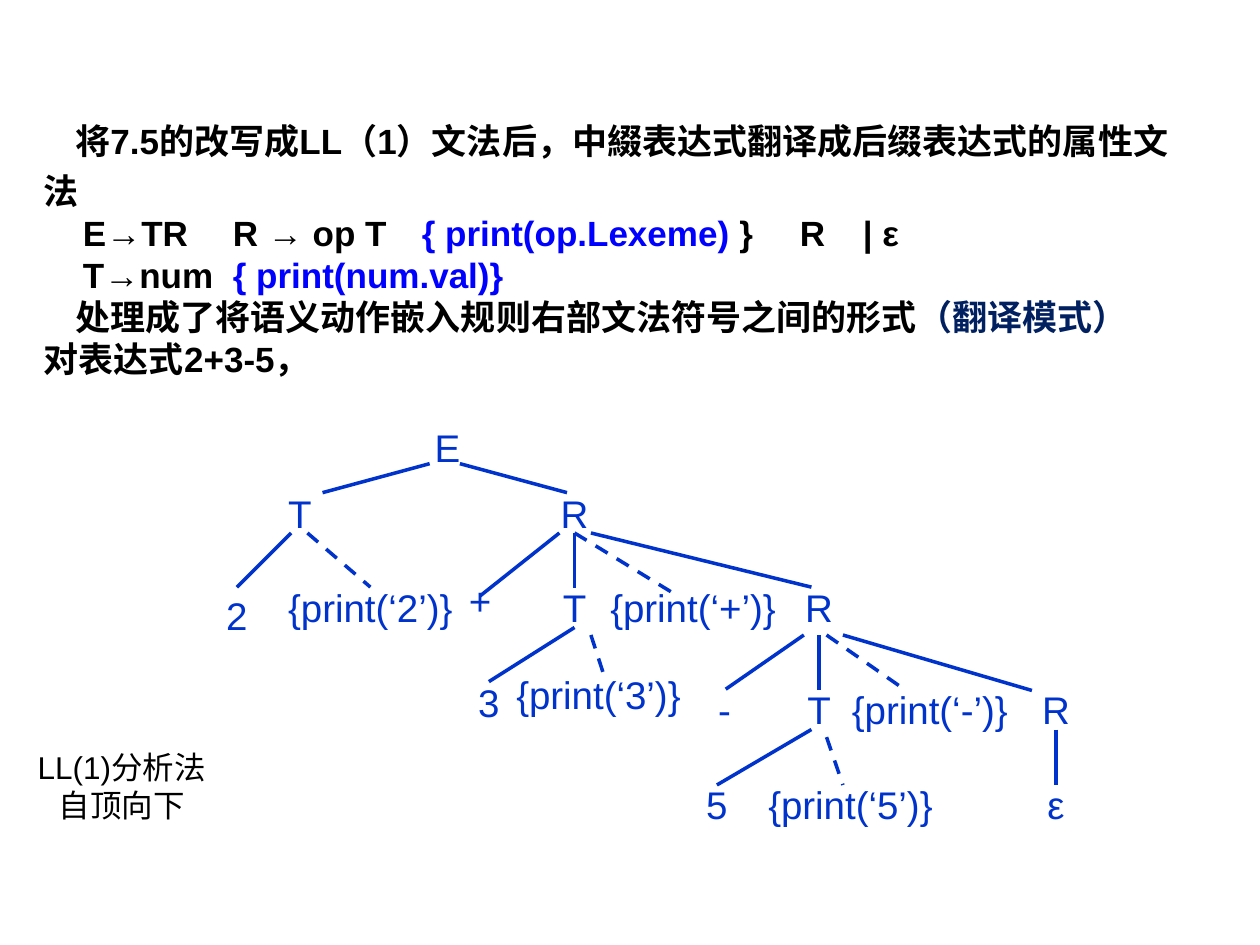
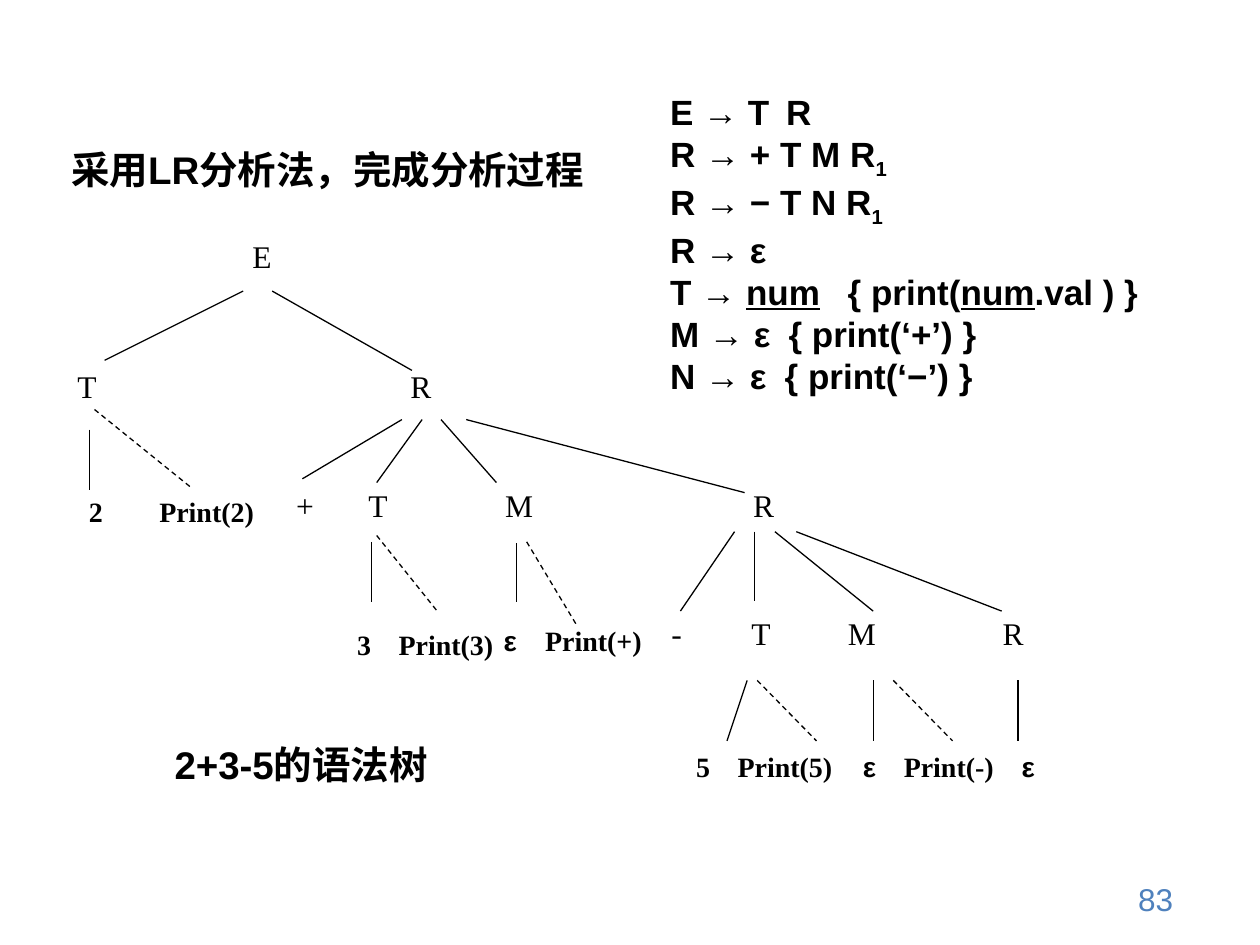
from dataclasses import dataclass

from lxml import etree
from pptx import Presentation
from pptx import util as u
from pptx.dml.color import RGBColor
from pptx.enum import dml, shapes, text
from pptx.oxml import ns


@dataclass(frozen=True)
class Theme:
    black: str = "000000"
    action: str = "0000FF"
    mode: str = "002060"
    tree: str = "0033CC"
    number: str = "4F81BD"
    sans: str = "Arial"
    serif: str = "Times New Roman"
    heading: int = 22
    body: int = 20
    note: int = 18
    leaf: int = 16


T = Theme()
LEFT, CENTER, RIGHT = text.PP_ALIGN.LEFT, text.PP_ALIGN.CENTER, text.PP_ALIGN.RIGHT
TOP, MIDDLE = text.MSO_ANCHOR.TOP, text.MSO_ANCHOR.MIDDLE

# Text styles
BODY = {"size": T.body, "color": T.black, "name": T.sans, "bold": True}
HEADING = BODY | {"size": T.heading}
NOTE = BODY | {"size": T.note, "bold": False}
NUMBER = NOTE | {"color": T.number}
TREE = {"size": T.heading, "color": T.tree, "name": T.sans}
SYMBOL = {"size": T.note, "color": T.black, "name": T.serif}
LEAF = SYMBOL | {"size": T.leaf, "bold": True}
EPSILON = LEAF | {"name": T.sans}
ACTION, MODE = {"color": T.action}, {"color": T.mode}
SUB, UNDER = {"baseline": -25000}, {"underline": True}

# Paragraphs: runs (plain or with a style change), then indent, tab stops, spacing
TRANSLATION = [
    {"runs": ["将7.5的改写成LL（1）文法后，中綴表达式翻译成后缀表达式的属性文法"],
     "indent": 0.25, "line_spacing": 1.2},
    {"runs": ["E→TR\tR → op T\t", ("{ print(op.Lexeme) ", ACTION), "}\tR\t| ε"],
     "indent": 0.31, "tabs": [1.66, 3.13, 5.9, 6.26]},
    {"runs": ["T→num\t", ("{ print(num.val)}", ACTION)],
     "indent": 0.31, "tabs": [1.57]},
    {"runs": ["处理成了将语义动作嵌入规则右部文法符号之间的形式", ("（翻译模式）", MODE)],
     "indent": 0.25},
    {"runs": ["对表达式2+3-5，"]},
]
METHOD = [{"runs": ["LL(1)分析法"]}, {"runs": ["自顶向下"]}]
GRAMMAR = [
    {"runs": ["E → T\tR"], "tabs": [0.92]},
    {"runs": ["R → + T M R", ("1", SUB)]},
    {"runs": ["R → − T N R", ("1", SUB)]},
    {"runs": ["R → ε"]},
    {"runs": ["T → ", ("num", UNDER), "\t{ print(", ("num", UNDER), ".val ) }"],
     "tabs": [1.41]},
    {"runs": ["M → ε\t{ print(‘+’) }"], "tabs": [0.94]},
    {"runs": ["N → ε\t{ print(‘−’) }"], "tabs": [0.91]},
]
LR_TITLE = [{"runs": ["采用LR分析法，完成分析过程"]}]
TREE_CAPTION = [{"runs": ["2+3-5的语法树"]}]
PAGE = [{"runs": ["83"]}]

# Tree nodes: label, centre x, centre y, branch from the parent (x1, y1, x2, y2)
LL_TREE = [
    ("E", 3.55, 3.55, None),
    ("T", 2.38, 4.07, (3.41, 3.68, 2.56, 3.91)),
    ("R", 4.56, 4.07, (3.65, 3.68, 4.5, 3.91)),
    ("2", 1.88, 4.88, (2.31, 4.23, 1.88, 4.66)),
    ("{print(‘2’)}", 2.94, 4.82, (2.44, 4.23, 2.94, 4.66)),
    ("+", 3.81, 4.76, (4.44, 4.23, 3.81, 4.73)),
    ("T", 4.56, 4.82, (4.56, 4.23, 4.56, 4.67)),
    ("{print(‘+’)}", 5.5, 4.82, (4.56, 4.23, 5.38, 4.73)),
    ("R", 6.5, 4.82, (4.69, 4.23, 6.44, 4.66)),
    ("3", 3.88, 5.57, (4.56, 4.98, 3.88, 5.41)),
    ("{print(‘3’)}", 4.75, 5.51, (4.69, 5.04, 4.81, 5.41)),
    ("-", 5.75, 5.63, (6.38, 5.04, 5.76, 5.47)),
    ("T", 6.5, 5.63, (6.5, 5.04, 6.5, 5.48)),
    ("{print(‘-’)}", 7.38, 5.63, (6.56, 5.04, 7.19, 5.48)),
    ("R", 8.38, 5.63, (6.69, 5.04, 8.19, 5.48)),
    ("5", 5.69, 6.38, (6.44, 5.79, 5.69, 6.23)),
    ("{print(‘5’)}", 6.75, 6.38, (6.56, 5.85, 6.69, 6.23)),
    ("ε", 8.38, 6.38, (8.38, 5.79, 8.38, 6.23)),
]
LR_TREE = [
    ("E", 2.08, 2.03, None),
    ("T", 0.69, 3.06, (1.93, 2.31, 0.83, 2.86)),
    ("R", 3.34, 3.06, (2.16, 2.31, 3.27, 2.94)),
    ("2", 0.76, 4.06, (0.71, 3.41, 0.71, 3.89)),
    ("Print(2)", 1.64, 4.06, (0.75, 3.25, 1.53, 3.88)),
    ("+", 2.42, 4.01, (3.19, 3.33, 2.4, 3.8)),
    ("T", 3, 4.01, (3.35, 3.33, 2.99, 3.83)),
    ("M", 4.12, 4.01, (3.5, 3.33, 3.94, 3.83)),
    ("R", 6.06, 4.01, (3.7, 3.33, 5.91, 3.91)),
    ("3", 2.89, 5.11, (2.95, 4.3, 2.95, 4.78)),
    ("Print(3)", 3.54, 5.11, (2.99, 4.25, 3.47, 4.85)),
    ("ε", 4.05, 5.08, (4.1, 4.31, 4.1, 4.78)),
    ("Print(+)", 4.71, 5.08, (4.18, 4.3, 4.57, 4.95)),
    ("-", 5.37, 5.02, (5.83, 4.22, 5.4, 4.85)),
    ("T", 6.04, 5.02, (5.99, 4.22, 5.99, 4.77)),
    ("M", 6.84, 5.02, (6.15, 4.22, 6.93, 4.85)),
    ("R", 8.04, 5.02, (6.32, 4.22, 7.95, 4.85)),
    ("5", 5.58, 6.08, (5.93, 5.4, 5.77, 5.88)),
    ("Print(5)", 6.23, 6.08, (6.01, 5.4, 6.48, 5.88)),
    ("ε", 6.9, 6.08, (6.93, 5.4, 6.93, 5.88)),
    ("Print(-)", 7.53, 6.08, (7.09, 5.4, 7.56, 5.88)),
    ("ε", 8.16, 6.08, (8.08, 5.4, 8.08, 5.88)),
]
NODE_W, NODE_H = 0.75, 0.44


def style_run(run, style):
    for key, value in style.items():
        if key == "color":
            run.font.color.rgb = RGBColor.from_string(value)
        elif key == "baseline":
            run._r.get_or_add_rPr().set("baseline", str(value))
        else:
            setattr(run.font, key, u.Pt(value) if key == "size" else value)


def fill_text(box, area, paragraphs, style, align=LEFT, anchor=TOP, wrap=True):
    """Place a text holder and write its paragraphs."""
    for side, length in zip(("left", "top", "width", "height"), area):
        setattr(box, side, u.Inches(length))
    frame = box.text_frame
    settings = {"word_wrap": wrap, "vertical_anchor": anchor,
                "auto_size": text.MSO_AUTO_SIZE.NONE}
    for key, value in settings.items():
        setattr(frame, key, value)
    for i, content in enumerate(paragraphs):
        para = frame.add_paragraph() if i else frame.paragraphs[0]
        para.alignment = align
        para.line_spacing = content.get("line_spacing")
        props = para._p.get_or_add_pPr()
        if "indent" in content:
            props.set("marL", "0")
            props.set("indent", str(u.Inches(content["indent"])))
        if "tabs" in content:
            stops = etree.SubElement(props, ns.qn("a:tabLst"))
            for stop in content["tabs"]:
                etree.SubElement(stops, ns.qn("a:tab"),
                                 pos=str(u.Inches(stop)), algn="l")
        for part in content["runs"]:
            words, change = (part, {}) if isinstance(part, str) else part
            run = para.add_run()
            run.text = words
            style_run(run, style | change)


def add_text(slide, area, paragraphs, style, **layout):
    box = slide.shapes.add_textbox(0, 0, 0, 0)
    fill_text(box, area, paragraphs, style, **layout)


def add_branch(slide, ends, color, weight, dashed):
    branch = slide.shapes.add_connector(
        shapes.MSO_CONNECTOR.STRAIGHT, *map(u.Inches, ends))
    branch.line.color.rgb = RGBColor.from_string(color)
    branch.line.width = u.Pt(weight)
    if dashed:
        branch.line.dash_style = dml.MSO_LINE.DASH
    etree.SubElement(branch._element.spPr, ns.qn("a:effectLst"))


def add_tree(slide, nodes, style_of, weight):
    """Draw a parse tree; branches to print actions are dashed."""
    for label, x, y, branch in nodes:
        style = style_of(label)
        if branch:
            add_branch(slide, branch, style["color"], weight, "rint(" in label)
        area = (x - NODE_W / 2, y - NODE_H / 2, NODE_W, NODE_H)
        add_text(slide, area, [{"runs": [label]}], style,
                 align=CENTER, anchor=MIDDLE, wrap=False)


def lr_style(label):
    if label == "ε":
        return EPSILON
    return LEAF if label.isdigit() or "Print" in label else SYMBOL


def main():
    prs = Presentation()
    prs.slide_width, prs.slide_height = u.Inches(10), u.Inches(7.5)
    title_only, blank = prs.slide_layouts[5], prs.slide_layouts[6]

    # Top-down translation
    ll = prs.slides.add_slide(blank)
    add_text(ll, (0.25, 0.83, 9.23, 2.26), TRANSLATION, BODY)
    add_tree(ll, LL_TREE, lambda label: TREE, 2)
    add_text(ll, (0.19, 5.89, 1.55, 0.71), METHOD, NOTE, align=CENTER)

    # Bottom-up analysis
    lr = prs.slides.add_slide(title_only)
    fill_text(lr.shapes.title, (0.33, 1.11, 4.54, 0.47), LR_TITLE, HEADING, align=CENTER)
    add_text(lr, (5.22, 0.67, 4.43, 2.46), GRAMMAR, BODY)
    add_tree(lr, LR_TREE, lr_style, 0.75)
    add_text(lr, (0.69, 5.83, 3.4, 0.47), TREE_CAPTION, HEADING, align=CENTER)
    add_text(lr, (7.08, 7, 2.33, 0.27), PAGE, NUMBER, align=RIGHT, anchor=MIDDLE)

    prs.save("out.pptx")


if __name__ == "__main__":
    main()
